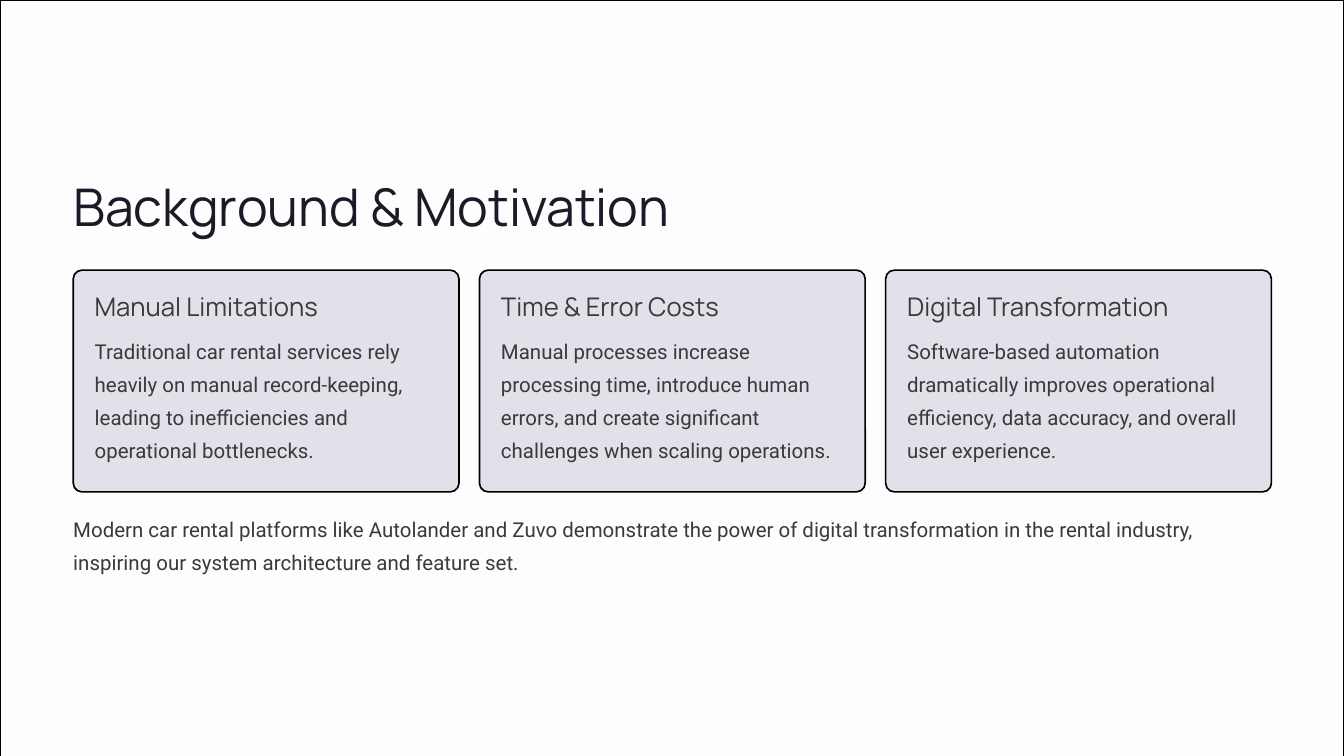
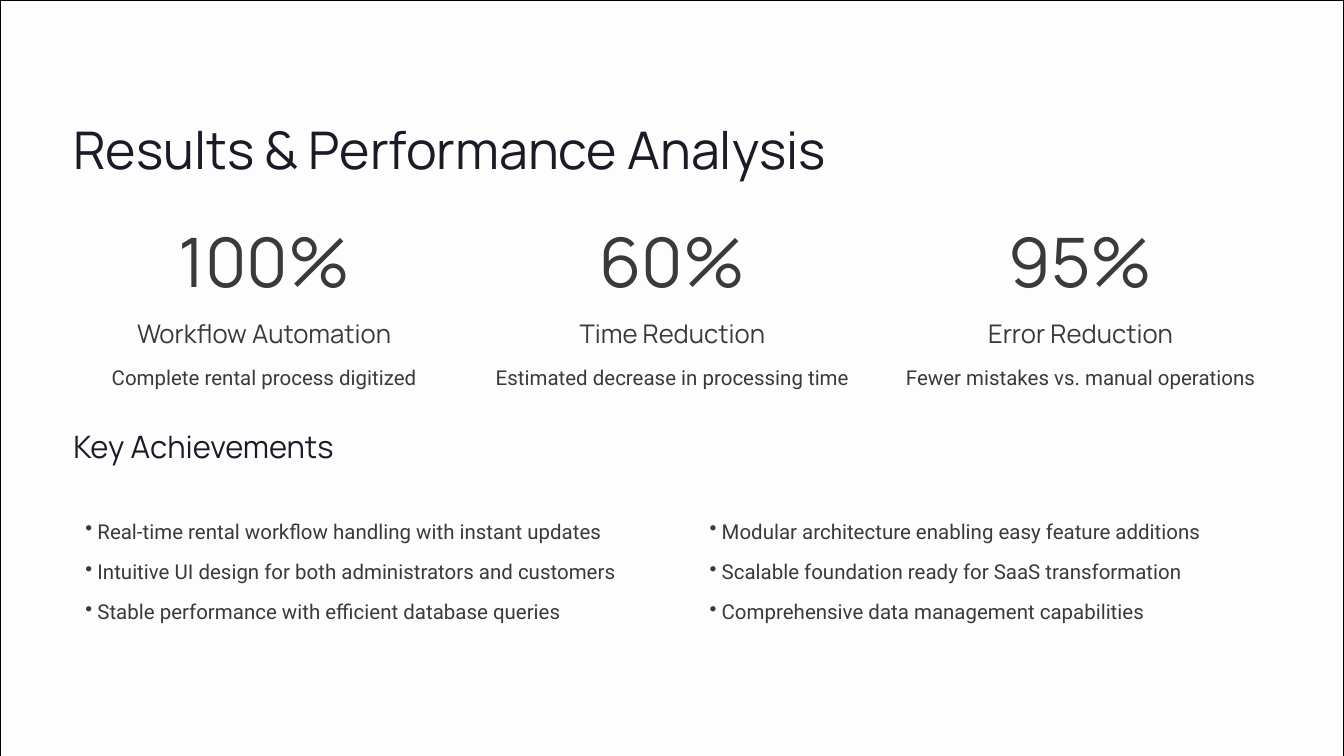
from dataclasses import dataclass

from lxml.etree import SubElement
from pptx import Presentation
from pptx.dml.color import RGBColor
from pptx.enum.shapes import MSO_SHAPE
from pptx.enum.text import MSO_AUTO_SIZE, PP_ALIGN
from pptx.oxml.ns import qn
from pptx.shapes.autoshape import Shape
from pptx.slide import Slide
from pptx.util import Inches, Pt

COLORS = {
    "backdrop": "ECECF3",
    "veil": "FFFFFF",
    "card": "E1E1EA",
    "outline": "000000",
    "heading": "1B1B27",
    "body": "3C3939",
}
SLIDE_WIDTH, SLIDE_HEIGHT = 20, 11.25
MARGIN = 1.09
CONTENT_WIDTH = 17.83


@dataclass(frozen=True)
class TextStyle:
    font: str
    size: float
    leading: float
    color: str


@dataclass(frozen=True)
class Card:
    heading: str
    body: str


@dataclass(frozen=True)
class Metric:
    value: str
    label: str
    detail: str


TITLE = TextStyle("Manrope", 55.6, 69.4, "heading")
SECTION = TextStyle("Manrope", 33.1, 41.2, "heading")
SUBHEADING = TextStyle("Manrope", 27.5, 34.4, "body")
FIGURE = TextStyle("Manrope", 73.1, 73.1, "body")
BODY = TextStyle("Roboto", 21.9, 35.6, "body")

CARDS = [
    Card("Manual Limitations",
         "Traditional car rental services rely heavily on manual record-keeping, "
         "leading to inefficiencies and operational bottlenecks."),
    Card("Time & Error Costs",
         "Manual processes increase processing time, introduce human errors, "
         "and create significant challenges when scaling operations."),
    Card("Digital Transformation",
         "Software-based automation dramatically improves operational efficiency, "
         "data accuracy, and overall user experience."),
]
SUMMARY = (
    "Modern car rental platforms like Autolander and Zuvo demonstrate the power of "
    "digital transformation in the rental industry, inspiring our system "
    "architecture and feature set."
)
METRICS = [
    Metric("100%", "Workflow Automation", "Complete rental process digitized"),
    Metric("60%", "Time Reduction", "Estimated decrease in processing time"),
    Metric("95%", "Error Reduction", "Fewer mistakes vs. manual operations"),
]
ACHIEVEMENTS = [
    ["Real-time rental workflow handling with instant updates",
     "Intuitive UI design for both administrators and customers",
     "Stable performance with efficient database queries"],
    ["Modular architecture enabling easy feature additions",
     "Scalable foundation ready for SaaS transformation",
     "Comprehensive data management capabilities"],
]


def rgb(name: str) -> RGBColor:
    return RGBColor.from_string(COLORS[name])


def column_left(index: int, count: int, width: float) -> float:
    """Left edge of one of several columns spread evenly over the content width."""
    return MARGIN + index * (CONTENT_WIDTH - width) / (count - 1)


def add_panel(slide: Slide, kind: MSO_SHAPE, left: float, top: float, width: float,
              height: float, fill: str, line_width: float = 1) -> Shape:
    panel = slide.shapes.add_shape(
        kind, Inches(left), Inches(top), Inches(width), Inches(height))
    panel.shadow.inherit = False
    panel.fill.solid()
    panel.fill.fore_color.rgb = rgb(fill)
    panel.line.color.rgb = rgb("outline")
    panel.line.width = Pt(line_width)
    return panel


def add_text(slide: Slide, text: str, style: TextStyle, left: float, top: float,
             width: float, height: float, align: PP_ALIGN = PP_ALIGN.LEFT,
             bullet: bool = False) -> None:
    box = slide.shapes.add_textbox(
        Inches(left), Inches(top), Inches(width), Inches(height))
    frame = box.text_frame
    frame.word_wrap = True
    frame.auto_size = MSO_AUTO_SIZE.SHAPE_TO_FIT_TEXT
    frame.margin_left = frame.margin_right = 0
    frame.margin_top = frame.margin_bottom = 0
    paragraph = frame.paragraphs[0]
    paragraph.alignment = align
    paragraph.line_spacing = Pt(style.leading)
    if bullet:
        paragraph.level = 1
        properties = paragraph._p.get_or_add_pPr()
        properties.set("marL", str(Inches(0.36)))
        properties.set("indent", str(Inches(-0.18)))
        SubElement(properties, qn("a:buChar")).set("char", "•")
    run = paragraph.add_run()
    run.text = text
    run.font.name = style.font
    run.font.size = Pt(style.size)
    run.font.color.rgb = rgb(style.color)


def add_titled_slide(deck: Presentation, title: str, top: float, width: float) -> Slide:
    slide = deck.slides.add_slide(deck.slide_layouts[6])
    # Tinted backdrop under a nearly opaque white veil
    full_slide = (0, 0, SLIDE_WIDTH, SLIDE_HEIGHT)
    add_panel(slide, MSO_SHAPE.RECTANGLE, *full_slide, "backdrop")
    veil = add_panel(slide, MSO_SHAPE.RECTANGLE, *full_slide, "veil")
    veil_color = veil._element.spPr.find(qn("a:solidFill"))[0]
    SubElement(veil_color, qn("a:alpha")).set("val", "90000")
    add_text(slide, title, TITLE, MARGIN, top, width, 0.91)
    return slide


def add_card(slide: Slide, card: Card, left: float) -> None:
    width, height, radius, padding = 5.74, 3.3, 0.13, 0.32
    panel = add_panel(slide, MSO_SHAPE.ROUNDED_RECTANGLE, left, 4.02, width, height,
                      "card", 1.75)
    panel.adjustments[0] = radius / height
    add_text(slide, card.heading, SUBHEADING, left + padding, 4.31, 4, 0.45)
    add_text(slide, card.body, BODY, left + padding, 4.91, width - 2 * padding, 2.09)


def add_metric(slide: Slide, metric: Metric, left: float, width: float) -> None:
    label_width = 4.08
    label_left = left + (width - label_width) / 2
    center = PP_ALIGN.CENTER
    add_text(slide, metric.value, FIGURE, left, 3.46, width, 0.89, center)
    add_text(slide, metric.label, SUBHEADING, label_left, 4.71, label_width, 0.45, center)
    add_text(slide, metric.detail, BODY, left, 5.31, width, 0.6, center)


def build_background(deck: Presentation) -> None:
    slide = add_titled_slide(deck, "Background & Motivation", 2.56, 9.75)
    for index, card in enumerate(CARDS):
        add_card(slide, card, column_left(index, len(CARDS), 5.74))
    add_text(slide, SUMMARY, BODY, MARGIN, 7.56, CONTENT_WIDTH, 1.1)


def build_results(deck: Presentation) -> None:
    slide = add_titled_slide(deck, "Results & Performance Analysis", 1.71, 11.5)
    # Headline figures
    metric_width = 5.68
    for index, metric in enumerate(METRICS):
        left = column_left(index, len(METRICS), metric_width)
        add_metric(slide, metric, left, metric_width)
    # Two columns of achievements
    add_text(slide, "Key Achievements", SECTION, MARGIN, 6.34, 4.65, 0.61)
    list_width = 8.54
    for column, achievements in enumerate(ACHIEVEMENTS):
        left = column_left(column, len(ACHIEVEMENTS), list_width)
        for row, achievement in enumerate(achievements):
            add_text(slide, achievement, BODY, left, 7.59 + row * 0.6, list_width, 0.6,
                     bullet=True)


def main() -> None:
    deck = Presentation()
    deck.slide_width = Inches(SLIDE_WIDTH)
    deck.slide_height = Inches(SLIDE_HEIGHT)
    build_background(deck)
    build_results(deck)
    deck.save("out.pptx")


if __name__ == "__main__":
    main()
